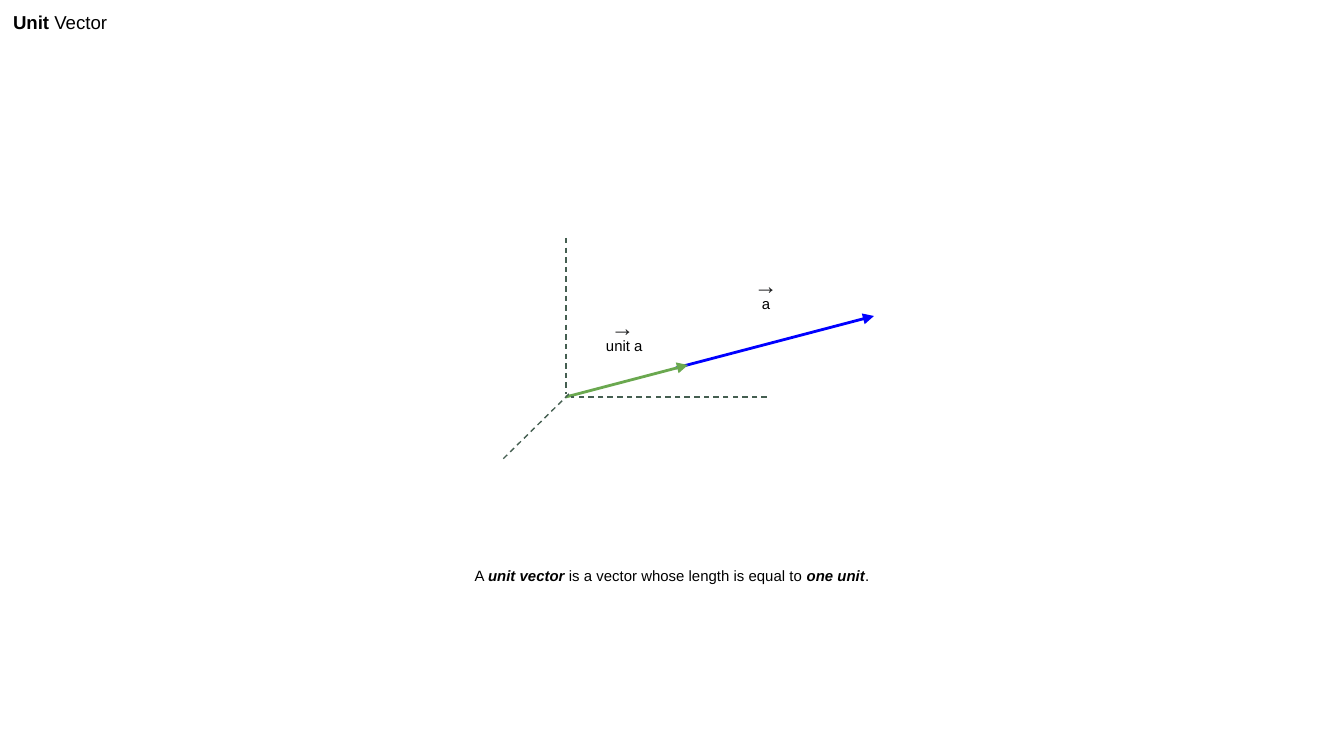
from dataclasses import dataclass
from lxml.etree import SubElement
from pptx import Presentation
from pptx.dml.color import RGBColor
from pptx.enum.dml import MSO_LINE
from pptx.enum.shapes import MSO_CONNECTOR
from pptx.enum.text import MSO_ANCHOR, MSO_AUTO_SIZE, PP_ALIGN
from pptx.oxml.ns import qn
from pptx.util import Emu, Pt


@dataclass(frozen=True)
class Theme:
    font: str = "Arial"
    text: str = "000000"
    symbol: str = "202122"
    vector: str = "0000FF"
    unit_vector: str = "6AA84F"
    axis: str = "455F51"
    title_size: float = 10
    body_size: float = 8
    symbol_size: float = 12.5
    vector_width: float = 1.5
    axis_width: float = 0.75


theme = Theme()
SCALE = 914400 / 134.4
INSET = 13


def px(value):
    return Emu(round(value * SCALE))


def fill_text(box, bounds, runs, size, color, align=PP_ALIGN.LEFT, anchor=MSO_ANCHOR.TOP):
    box.left, box.top, box.width, box.height = map(px, bounds)
    frame = box.text_frame
    frame.word_wrap = True
    frame.auto_size = MSO_AUTO_SIZE.NONE
    frame.vertical_anchor = anchor
    frame.margin_left = frame.margin_right = px(INSET)
    frame.margin_top = frame.margin_bottom = px(INSET)
    para = frame.paragraphs[0]
    para.alignment = align
    for text, bold, italic in runs:
        span = para.add_run()
        span.text = text
        span.font.name = theme.font
        span.font.size = Pt(size)
        span.font.bold = bold
        span.font.italic = italic
        span.font.color.rgb = RGBColor.from_string(color)
    return para


deck = Presentation()
deck.slide_width = px(1344)
deck.slide_height = px(756)
page = deck.slides.add_slide(deck.slide_layouts[5])

title_runs = [("Unit ", True, False), ("Vector", False, False)]
title = fill_text(page.shapes.title, (0, 0, 441, 47), title_runs, theme.title_size, theme.text)
title.line_spacing = 0.9

vectors = [
    ((676, 368, 874, 316), theme.vector),
    ((566, 397, 688, 365), theme.unit_vector),
]
axes = [(566, 238, 566, 394), (569, 394, 501, 461), (767, 397, 571, 397)]
lines = [(ends, color, theme.vector_width, True) for ends, color in vectors]
lines += [(ends, theme.axis, theme.axis_width, False) for ends in axes]

for ends, color, width, is_vector in lines:
    connector = page.shapes.add_connector(MSO_CONNECTOR.STRAIGHT, *map(px, ends))
    connector.line.color.rgb = RGBColor.from_string(color)
    connector.line.width = Pt(width)
    if is_vector:
        SubElement(connector.line._get_or_add_ln(), qn("a:tailEnd"), type="triangle")
    else:
        connector.line.dash_style = MSO_LINE.DASH
    SubElement(connector._element.spPr, qn("a:effectLst"))

labels = [
    ("a", (749, 282, 27, 46), (741, 258, 30, 55)),
    ("unit a", (593, 324, 69, 46), (598, 300, 30, 55)),
]
for name, name_bounds, symbol_bounds in labels:
    box = page.shapes.add_textbox(0, 0, 0, 0)
    fill_text(box, name_bounds, [(name, False, False)], theme.body_size, theme.text)
    box = page.shapes.add_textbox(0, 0, 0, 0)
    fill_text(box, symbol_bounds, [("→", False, False)], theme.symbol_size, theme.symbol,
              anchor=MSO_ANCHOR.MIDDLE)

definition_runs = [
    ("A ", False, False),
    ("unit vector", True, True),
    (" is a vector whose length is equal to ", False, False),
    ("one unit", True, True),
    (".", False, False),
]
box = page.shapes.add_textbox(0, 0, 0, 0)
fill_text(box, (298, 554, 748, 74), definition_runs, theme.body_size, theme.text,
          align=PP_ALIGN.CENTER)

deck.save("out.pptx")
